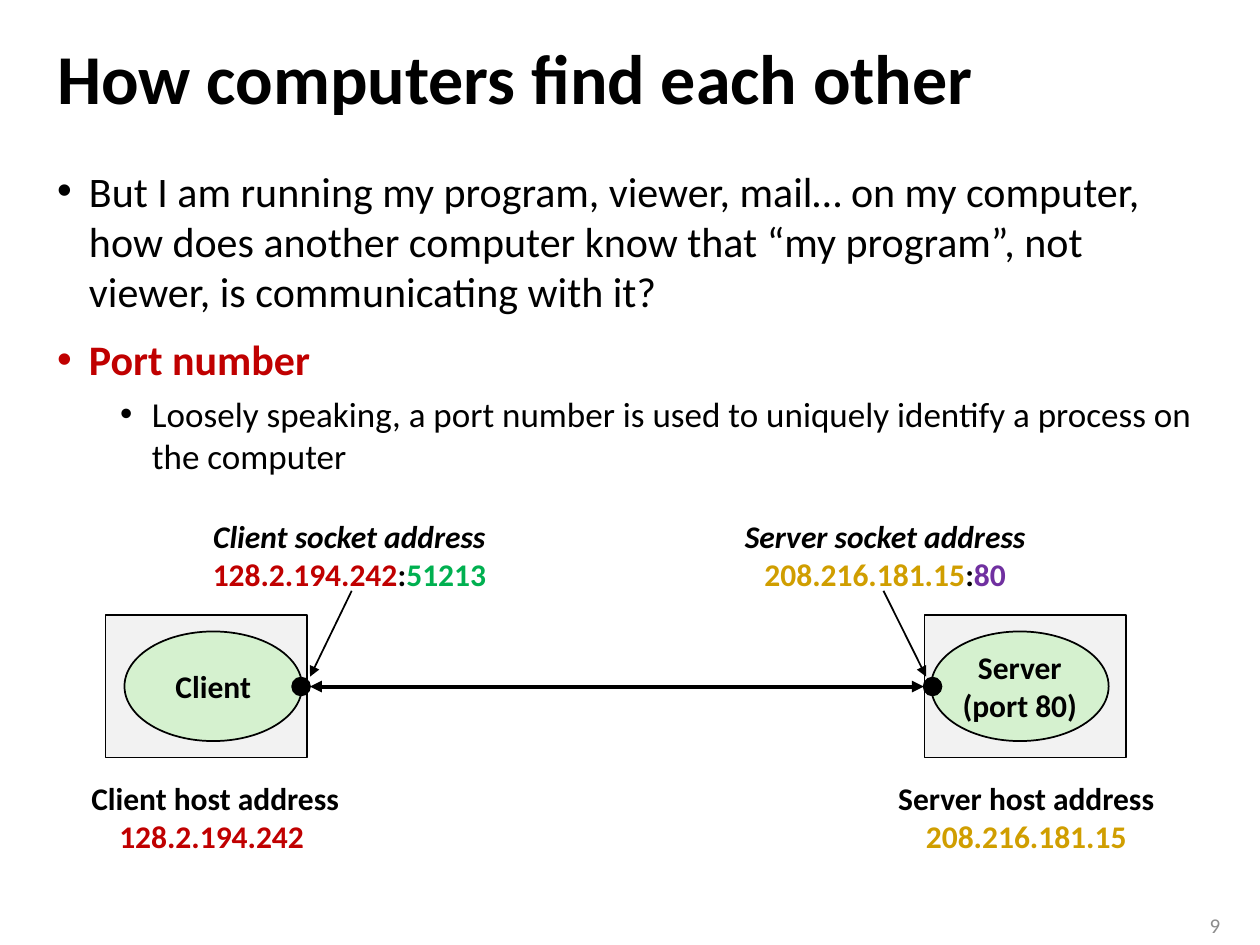
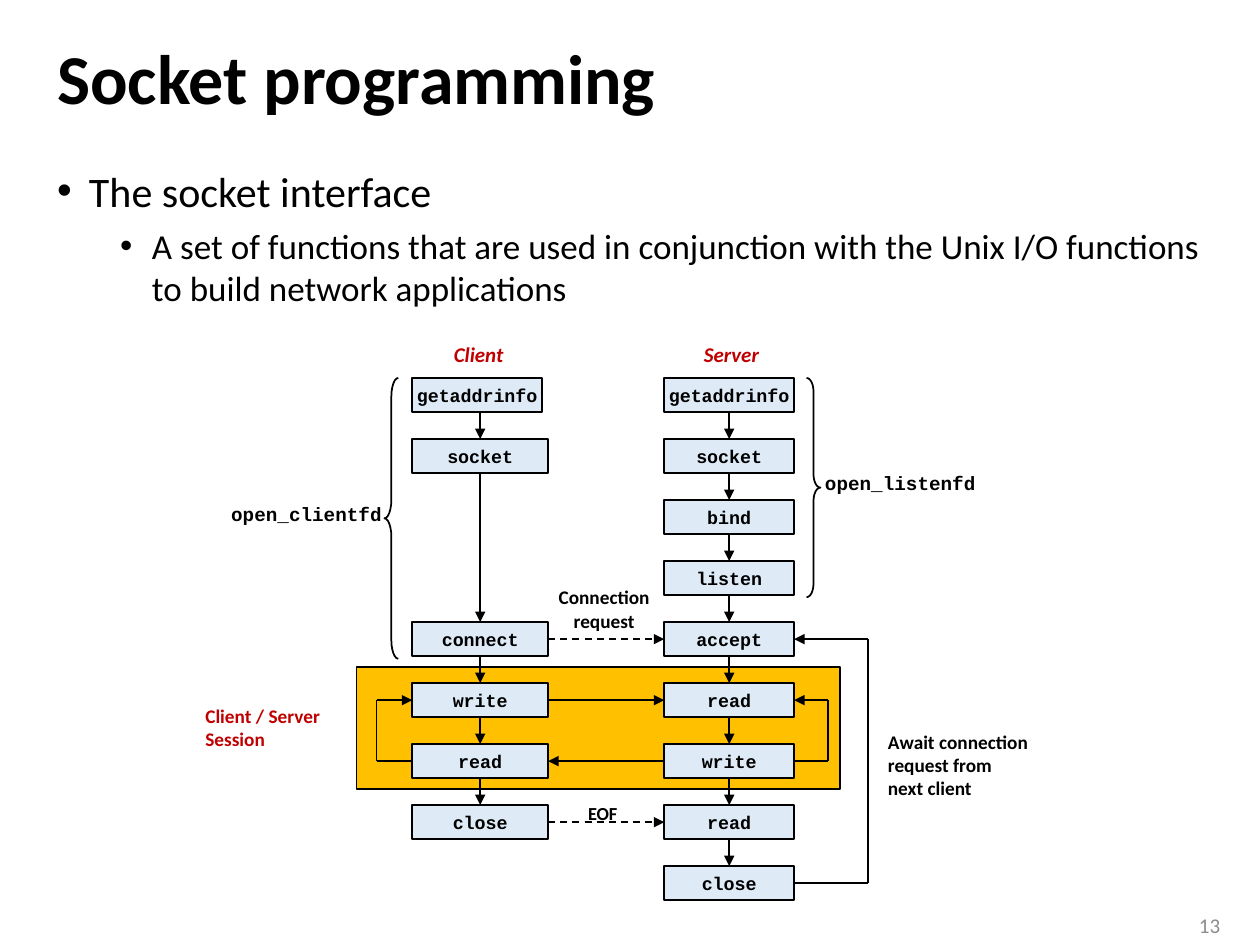
"""Build two slides on socket addresses and the socket interface."""
import pptx
import pptx.dml.color
import pptx.enum.dml
import pptx.enum.shapes
import pptx.enum.text
import pptx.oxml
import pptx.oxml.ns
import pptx.util

RGBColor = pptx.dml.color.RGBColor
Cm = pptx.util.Cm
Pt = pptx.util.Pt
SHAPE = pptx.enum.shapes.MSO_SHAPE
ALIGN = pptx.enum.text.PP_ALIGN
qn = pptx.oxml.ns.qn

BLACK = RGBColor(0x00, 0x00, 0x00)
RED = RGBColor(0xC0, 0x00, 0x00)
GREEN = RGBColor(0x00, 0xB0, 0x50)
GOLD = RGBColor(0xD0, 0x9E, 0x00)
PURPLE = RGBColor(0x70, 0x30, 0xA0)
PAGE_GRAY = RGBColor(0x8C, 0x8C, 0x8C)
HOST_GRAY = RGBColor(0xF2, 0xF2, 0xF2)
PROCESS_GREEN = RGBColor(0xD5, 0xF1, 0xCF)
CALL_BLUE = RGBColor(0xDE, 0xEB, 0xF7)
SESSION_ORANGE = RGBColor(0xFF, 0xC0, 0x00)

BODY_FONT = "Calibri"
CODE_FONT = "Courier New"
TOP, LEFT, BOTTOM, RIGHT = range(4)

ROW_TOP, ROW_PITCH, ROW_HEIGHT = 7.62, 1.23, 0.69
CLIENT_CALLS = {0: "getaddrinfo", 1: "socket", 4: "connect",
                5: "write", 6: "read", 7: "close"}
SERVER_CALLS = dict(enumerate(["getaddrinfo", "socket", "bind", "listen",
                               "accept", "read", "write", "read", "close"]))


def cm(*values):
    """Convert centimetre values to lengths."""
    return [Cm(value) for value in values]


def put_text(frame, lines, align=ALIGN.CENTER, wrap=False,
             anchor=pptx.enum.text.MSO_ANCHOR.MIDDLE, **style):
    """Write lines, each a string or a list of (text, style changes) runs."""
    frame.word_wrap = wrap
    frame.auto_size = pptx.enum.text.MSO_AUTO_SIZE.NONE
    frame.vertical_anchor = anchor
    for index, line in enumerate(lines):
        paragraph = frame.add_paragraph() if index else frame.paragraphs[0]
        paragraph.alignment = align
        for text, changes in [(line, {})] if isinstance(line, str) else line:
            look = {**style, **changes}
            run = paragraph.add_run()
            run.text = text
            run.font.name = look.get("font", BODY_FONT)
            run.font.size = Pt(look["size"])
            run.font.bold = look.get("bold", True)
            run.font.italic = look.get("italic", False)
            run.font.color.rgb = look.get("color", BLACK)


def add_label(slide, area, lines, **style):
    """Add a text box."""
    put_text(slide.shapes.add_textbox(*cm(*area)).text_frame, lines, **style)


def add_block(slide, kind, area, fill=None):
    """Add a preset shape with a thin black outline."""
    block = slide.shapes.add_shape(kind, *cm(*area))
    block.shadow.inherit = False
    block.line.color.rgb = BLACK
    block.line.width = Pt(1)
    if fill is None:
        block.fill.background()
    else:
        block.fill.solid()
        block.fill.fore_color.rgb = fill
    return block


def add_link(slide, start=(0, 0), end=(0, 0), source=None, target=None,
             width=1, dashed=False, ends=("tailEnd",)):
    """Draw a straight line; source and target are (shape, side) joins."""
    link = slide.shapes.add_connector(
        pptx.enum.shapes.MSO_CONNECTOR.STRAIGHT, *start, *end)
    if source:
        link.begin_connect(*source)
    if target:
        link.end_connect(*target)
    link.line.color.rgb = BLACK
    link.line.width = Pt(width)
    if dashed:
        link.line.dash_style = pptx.enum.dml.MSO_LINE.DASH
    properties = link._element.spPr
    outline = properties.find(qn("a:ln"))
    for tag in ends:
        head = pptx.oxml.parse_xml(
            f'<a:{tag} {pptx.oxml.ns.nsdecls("a")} type="triangle"/>')
        outline.append(head)
    properties.append(pptx.oxml.parse_xml(
        f'<a:effectLst {pptx.oxml.ns.nsdecls("a")}/>'))


def place(placeholder, area):
    """Move a placeholder and return its text frame."""
    (placeholder.left, placeholder.top,
     placeholder.width, placeholder.height) = cm(*area)
    return placeholder.text_frame


def add_bullet(paragraph, level):
    """Set the indent, spacing and bullet of one list level."""
    paragraph.level = level
    paragraph.space_before = Pt(5 if level else 10)
    paragraph.line_spacing = 1.0
    properties = paragraph._p.get_or_add_pPr()
    properties.set("marL", str(Cm(1.91 if level else 0.64)))
    properties.set("indent", str(Cm(-0.64)))
    for tag, key, value in (("buFont", "typeface", "Arial"),
                            ("buChar", "char", "•")):
        properties.append(pptx.oxml.parse_xml(
            f'<a:{tag} {pptx.oxml.ns.nsdecls("a")} {key}="{value}"/>'))


def add_page(deck, title, points, number):
    """Add a slide with title, list of (level, text, style) and number."""
    slide = deck.slides.add_slide(deck.slide_layouts[1])
    heading = place(slide.shapes.title, (0.9, 0.48, 23.6, 2.34))
    put_text(heading, [title], align=ALIGN.LEFT, wrap=True, size=40)
    heading.paragraphs[0].line_spacing = 0.9
    body = place(slide.placeholders[1], (0.9, 3.2, 23.6, 14.8))
    lines = [[(text, {"size": 20 if level else 24, **style})]
             for level, text, style in points]
    put_text(body, lines, align=ALIGN.LEFT, wrap=True, bold=False,
             anchor=pptx.enum.text.MSO_ANCHOR.TOP)
    for paragraph, (level, _, _) in zip(body.paragraphs, points):
        add_bullet(paragraph, level)
    add_label(slide, (23.55, 18.26, 1.3, 0.79), [str(number)],
              align=ALIGN.RIGHT, size=12, bold=False, color=PAGE_GRAY)
    return slide


def add_host(slide, host_left, process_left, dot_left, process):
    """Draw a host with its process and the dot of its socket."""
    add_block(slide, SHAPE.RECTANGLE, (host_left, 12.4, 4.06, 2.87), HOST_GRAY)
    oval = add_block(slide, SHAPE.OVAL, (process_left, 12.73, 3.58, 2.21),
                     PROCESS_GREEN)
    put_text(oval.text_frame, process, size=18)
    add_block(slide, SHAPE.OVAL, (dot_left, 13.66, 0.36, 0.36), BLACK)


def add_addresses(slide, role, address, port, color, port_color,
                  socket_area, host_area):
    """Label a socket address above and a host address below."""
    add_label(slide, socket_area,
              [[(f"{role} socket address", {"italic": True})],
               [(address.strip(), {"color": color}), (":", {}),
                (port, {"color": port_color})]], size=18)
    add_label(slide, host_area,
              [f"{role} host address", [(address, {"color": color})]], size=18)


def add_calls(slide, left, width, calls, first_width):
    """Stack function calls in their rows and link them downwards."""
    boxes = {}
    above = None
    for row, call in calls.items():
        box = add_block(slide, SHAPE.RECTANGLE,
                        (left, ROW_TOP + row * ROW_PITCH,
                         width if row else first_width, ROW_HEIGHT), CALL_BLUE)
        put_text(box.text_frame, [call], size=10.5, font=CODE_FONT)
        if above is not None:
            middle = box.left + box.width // 2
            aligned = above.width == box.width
            add_link(slide, (middle, above.top + above.height),
                     (middle, box.top), target=(box, TOP),
                     source=(above, BOTTOM) if aligned else None)
        boxes[row] = above = box
    return boxes


def add_loop(slide, lower, upper, side, turn):
    """Lead from the side of a lower call back to an upper one."""
    x = Cm(turn)
    low, high = [(x, box.top + box.height // 2) for box in (lower, upper)]
    add_link(slide, end=low, source=(lower, side), ends=())
    add_link(slide, low, high, ends=())
    add_link(slide, high, target=(upper, side))


def add_brace(slide, kind, area, curl, label_area, label):
    """Group calls with a brace and name the group."""
    brace = add_block(slide, kind, area)
    brace.adjustments[0] = curl
    brace.adjustments[1] = 0.5
    add_label(slide, label_area, [label], size=11, font=CODE_FONT)


def build_address_slide(deck):
    """Build the slide on port numbers and socket addresses."""
    slide = add_page(deck, "How computers find each other", [
        (0, "But I am running my program, viewer, mail… on my computer, how "
            "does another computer know that “my program”, not viewer, is "
            "communicating with it?", {}),
        (0, "Port number", {"color": RED, "bold": True}),
        (1, "Loosely speaking, a port number is used to uniquely identify a "
            "process on the computer", {})], 9)
    add_host(slide, 2.13, 2.51, 5.89, ["Client"])
    add_host(slide, 18.64, 18.77, 18.62, ["Server", "(port 80)"])
    add_link(slide, cm(6.25, 13.84), cm(18.62, 13.84), width=2.25,
             ends=("headEnd", "tailEnd"))
    add_addresses(slide, "Client", "128.2.194.242 ", "51213", RED, GREEN,
                  (4.01, 10.29, 6.07, 1.8), (1.57, 15.57, 5.54, 1.8))
    add_addresses(slide, "Server", "208.216.181.15", "80", GOLD, PURPLE,
                  (14.25, 10.29, 7.19, 1.8), (17.83, 15.57, 5.72, 1.8))
    add_link(slide, cm(7.09, 11.91), cm(6.25, 13.64))
    add_link(slide, cm(17.81, 11.91), cm(18.67, 13.64))


def build_interface_slide(deck):
    """Build the slide on the calls of client and server."""
    slide = add_page(deck, "Socket programming", [
        (0, "The socket interface", {}),
        (1, "A set of functions that are used in conjunction with the Unix "
            "I/O functions to build network applications", {})], 13)
    add_block(slide, SHAPE.RECTANGLE, (7.19, 13.44, 9.75, 2.46),
              SESSION_ORANGE)
    client = add_calls(slide, 8.31, 2.74, CLIENT_CALLS, 2.62)
    server = add_calls(slide, 13.39, 2.62, SERVER_CALLS, 2.62)

    for row in (4, 5, 7):
        add_link(slide, source=(client[row], RIGHT),
                 target=(server[row], LEFT), dashed=row != 5)
    add_link(slide, source=(server[6], LEFT), target=(client[6], RIGHT))
    add_loop(slide, client[6], client[5], LEFT, 7.59)
    add_loop(slide, server[6], server[5], RIGHT, 16.69)
    add_loop(slide, server[8], server[4], RIGHT, 17.5)

    add_brace(slide, SHAPE.LEFT_BRACE, (7.75, 7.62, 0.28, 5.66), 1.33,
              (4.39, 9.98, 3.58, 0.74), "open_clientfd")
    add_brace(slide, SHAPE.RIGHT_BRACE, (16.26, 7.62, 0.28, 4.42), 0.96,
              (16.36, 9.37, 3.58, 0.74), "open_listenfd")

    for role, area in (("Client", (8.89, 6.76, 1.52, 0.76)),
                       ("Server", (13.92, 6.76, 1.65, 0.76))):
        add_label(slide, area, [role], size=12, color=RED, italic=True)
    add_label(slide, (3.89, 14.07, 3.02, 1.19), ["Client / Server", "Session"],
              size=11, color=RED, align=ALIGN.LEFT, wrap=True)
    add_label(slide, (11, 11.68, 2.36, 1.19), ["Connection", "request"],
              size=11)
    add_label(slide, (11.58, 16.03, 1.14, 0.74), ["EOF"], size=10.5)
    add_label(slide, (17.65, 14.58, 3.38, 1.68),
              ["Await connection", "request from", "next client"],
              size=11, align=ALIGN.LEFT)


def main():
    """Build and save the deck."""
    deck = pptx.Presentation()
    deck.slide_width, deck.slide_height = cm(25.4, 19.05)
    build_address_slide(deck)
    build_interface_slide(deck)
    deck.save("out.pptx")


if __name__ == "__main__":
    main()
